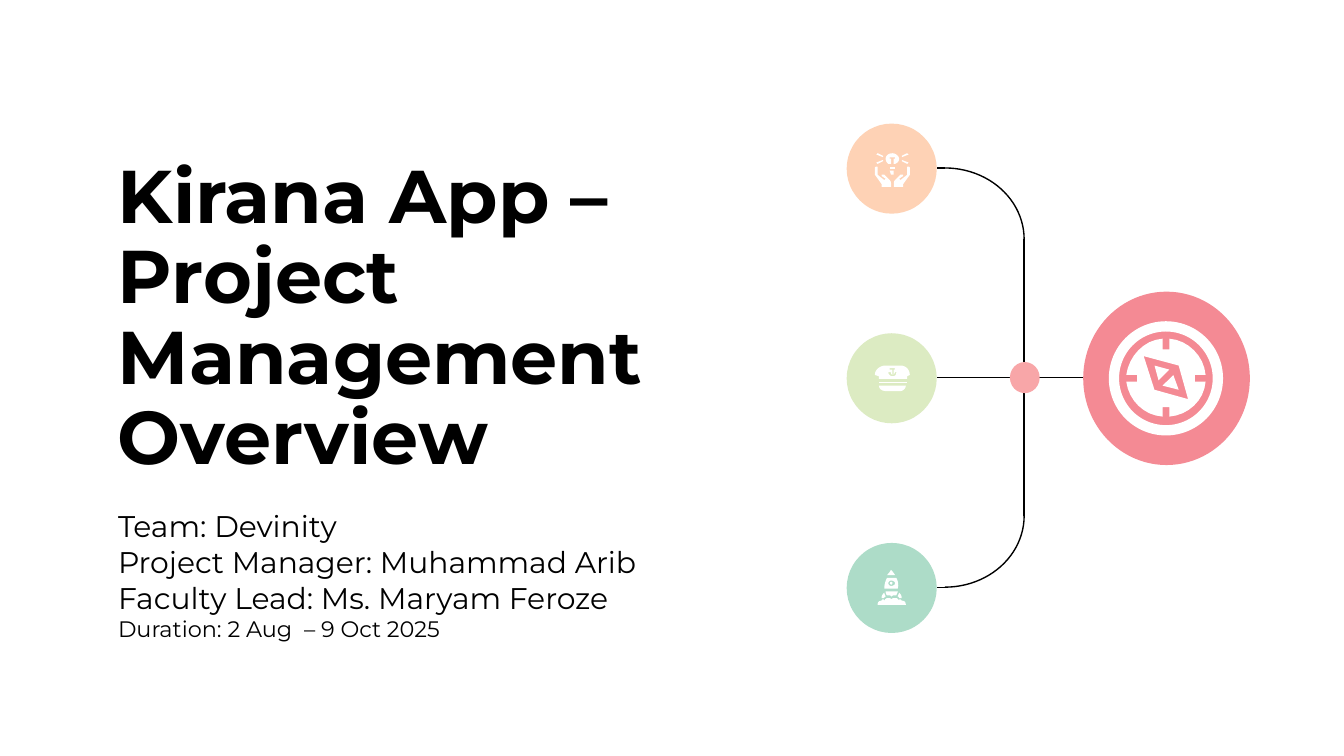
from dataclasses import dataclass

from lxml.etree import SubElement
from pptx import Presentation
from pptx.dml.color import RGBColor
from pptx.enum.shapes import MSO_CONNECTOR as Connector, MSO_SHAPE as Preset
from pptx.enum.text import MSO_ANCHOR as Anchor
from pptx.oxml.ns import qn
from pptx.util import Emu, Pt

PX = 9144  # EMU per px, 100 px to the inch
SLIDE_WIDTH = 1000
CURVE_STEPS = 8


@dataclass(frozen=True)
class Theme:
    font: str = "Montserrat"
    ink: str = "000000"
    white: str = "FFFFFF"
    peach: str = "FED2B5"
    lime: str = "DCEBC2"
    mint: str = "ADDCC8"
    coral: str = "F48A94"
    joint: str = "F8A6A8"
    title: int = 40
    body: int = 16
    small: int = 12
    line: float = 0.75
    joint_line: float = 2.25


THEME = Theme()


@dataclass(frozen=True)
class Box:
    left: int
    top: int
    width: int
    height: int

    def emu(self) -> tuple:
        return tuple(px(v) for v in (self.left, self.top, self.width, self.height))


@dataclass(frozen=True)
class TextLine:
    text: str
    size: int
    bold: bool = False
    spacing: float = 1.0
    continues: bool = False  # stays in the paragraph of the line above


@dataclass(frozen=True)
class Disc:
    box: Box
    color: str
    outlines: tuple
    mirrored: tuple = ()  # outlines drawn on both sides of the axis
    axis: float = 0


def px(value: float) -> Emu:
    return Emu(round(value * PX))


def rgb(value: str) -> RGBColor:
    return RGBColor.from_string(value)


def add_text(slide, box: Box, lines: list, anchor) -> None:
    frame = slide.shapes.add_textbox(*box.emu()).text_frame
    margins = dict.fromkeys(
        ("margin_left", "margin_top", "margin_right", "margin_bottom"), px(10))
    for name, value in {"word_wrap": True, "vertical_anchor": anchor, **margins}.items():
        setattr(frame, name, value)
    paragraph = frame.paragraphs[0]
    for index, line in enumerate(lines):
        if line.continues:
            paragraph.add_line_break()
        elif index:
            paragraph = frame.add_paragraph()
        paragraph.line_spacing = line.spacing
        run = paragraph.add_run()
        run.text = line.text
        font_format = {"name": THEME.font, "size": Pt(line.size), "bold": line.bold}
        for name, value in font_format.items():
            setattr(run.font, name, value)
        run.font.color.rgb = rgb(THEME.ink)


def paint(shape, color: str) -> None:
    shape.shadow.inherit = False
    shape.fill.solid()
    shape.fill.fore_color.rgb = rgb(color)
    shape.line.fill.background()


def set_line(shape, color: str, width: float) -> None:
    shape.line.color.rgb = rgb(color)
    shape.line.width = Pt(width)


def add_ellipse(slide, box: Box, color: str):
    shape = slide.shapes.add_shape(Preset.OVAL, *box.emu())
    paint(shape, color)
    return shape


def add_arc(slide, box: Box, flipped: bool) -> None:
    shape = slide.shapes.add_shape(Preset.ARC, *box.emu())
    shape.shadow.inherit = False
    shape.fill.background()
    set_line(shape, THEME.ink, THEME.line)
    if flipped:
        shape._element.spPr.xfrm.set("flipV", "1")


def add_line(slide, x1: int, y1: int, x2: int, y2: int) -> None:
    line = slide.shapes.add_connector(
        Connector.STRAIGHT, px(x1), px(y1), px(x2), px(y2))
    set_line(line, THEME.ink, THEME.line)
    SubElement(line._element.spPr, qn("a:effectLst"))


def contours(outline: str) -> list:
    """Turn M, L and C commands into point lists, with curves as short segments."""
    result = []
    for part in outline.split("M")[1:]:
        points = []
        for command in ("L" + part).replace("L", "|L").replace("C", "|C").split("|")[1:]:
            numbers = [int(n) for n in command[1:].split()]
            pairs = list(zip(numbers[::2], numbers[1::2]))
            if command[0] == "L":
                points += pairs
                continue
            for i in range(0, len(pairs), 3):
                corners = [points[-1], *pairs[i:i + 3]]
                for step in range(1, CURVE_STEPS + 1):
                    t = step / CURVE_STEPS
                    weights = ((1 - t) ** 3, 3 * t * (1 - t) ** 2, 3 * t * t * (1 - t), t ** 3)
                    points.append(tuple(
                        sum(w * c[k] for w, c in zip(weights, corners)) for k in (0, 1)))
        result.append(points)
    return result


def add_outline(slide, outline: str, axis: float = 0) -> None:
    builder = None
    for points in contours(outline):
        if axis:
            points = [(2 * axis - x, y) for x, y in points]
        start, *others = [(px(x), px(y)) for x, y in points]
        if builder is None:
            builder = slide.shapes.build_freeform(*start, scale=1.0)
        else:
            builder.move_to(*start)
        builder.add_line_segments(others, close=True)
    paint(builder.convert_to_shape(), THEME.white)


def add_disc(slide, disc: Disc) -> None:
    add_ellipse(slide, disc.box, disc.color)
    for outline in disc.outlines + disc.mirrored:
        add_outline(slide, outline)
    for outline in disc.mirrored:
        add_outline(slide, outline, disc.axis)


IDEA = Disc(Box(630, 92, 67, 67), THEME.peach, (
    "M662 124 L662 126 666 126 666 124",
    "M662 127 L663 130 665 130 665 127",
    "M664 114 C661 114 659 116 659 118 659 120 660 121 661 122 L663 122 663 118 662 118 "
    "662 117 666 117 666 118 665 118 665 122 666 122 C668 121 669 120 669 118 669 116 666 114 664 114",
), (
    "M675 114 L671 116 671 117 676 115",
    "M671 119 L671 120 675 122 676 121",
    "M652 124 C652 124 651 124 651 125 L651 130 656 137 656 139 663 139 663 137 "
    "C663 136 663 135 662 134 L658 130 C658 130 657 130 657 130 657 130 657 130 656 130 "
    "656 130 656 131 656 131 L659 133 658 134 653 130 653 125 C653 124 653 124 652 124",
), 664)
CAPTAIN = Disc(Box(630, 248, 67, 67), THEME.lime, (
    "M654 284 L654 285 675 285 675 284",
    "M654 287 C654 289 656 291 659 291 L670 291 C672 291 674 289 674 287",
    "M666 274 L666 275 665 275 665 279 C665 278 666 278 666 277 L667 277 "
    "C667 279 666 280 664 280 663 280 661 279 661 277 L663 277 C663 278 663 278 664 279 "
    "L664 275 662 275 662 274 M659 272 C655 272 651 275 651 279 L654 280 654 282 675 282 "
    "675 280 677 279 C677 275 674 272 670 272",
))
LAUNCH = Disc(Box(630, 404, 67, 67), THEME.mint, (
    "M663 433 C663 433 662 433 662 434 662 434 663 435 663 435 664 435 664 434 664 434 664 433 664 433 663 433",
    "M663 432 C665 432 666 433 666 434 666 435 665 436 663 436 662 436 661 435 661 434 "
    "661 433 662 432 663 432 M660 430 C659 432 658 435 658 438 L668 438 C669 435 668 432 667 430",
    "M663 424 C663 424 662 426 660 428 L666 428 C665 426 663 424 663 424",
    "M661 445 C660 445 659 445 658 447 658 446 657 446 657 446 656 446 656 447 656 447 "
    "654 447 653 448 653 450 L674 450 C674 448 673 447 671 447 671 447 670 446 670 446 "
    "669 446 669 446 669 447 668 445 667 445 666 445 665 445 664 445 663 446 663 445 662 445 661 445",
    "M659 440 C659 441 659 442 660 443 660 443 661 443 661 443 662 443 663 443 663 444 "
    "664 443 665 443 666 443 666 443 666 443 667 443 667 442 668 441 668 440",
), (
    "M669 441 C669 442 668 443 668 444 669 444 669 445 669 445 L671 445 C671 443 670 442 669 441",
), 663.5)
COMPASS = Disc(Box(806, 217, 124, 129), THEME.coral, (
    "M873 279 L865 287 877 290",
    "M859 272 L862 283 870 275",
    "M851 265 L877 272 884 297 859 290 M865 252 C851 253 840 265 838 279 L846 279 846 284 "
    "838 284 C840 298 851 309 865 310 L865 303 870 303 870 310 C884 309 896 298 897 284 "
    "L889 284 889 279 897 279 C896 265 884 253 870 252 L870 260 865 260",
))


def main() -> None:
    presentation = Presentation()
    presentation.slide_width = px(SLIDE_WIDTH)
    presentation.slide_height = px(SLIDE_WIDTH * 9 / 16)
    slide = presentation.slides.add_slide(presentation.slide_layouts[6])

    # Title and project details
    add_text(slide, Box(78, 110, 486, 258), [
        TextLine("Kirana App – Project Management Overview", THEME.title, True, 0.9)], Anchor.BOTTOM)
    add_text(slide, Box(78, 368, 491, 120), [
        TextLine("Team: Devinity", THEME.body),
        TextLine("Project Manager: Muhammad Arib", THEME.body),
        TextLine("Faculty Lead: Ms. Maryam Feroze", THEME.body),
        TextLine("Duration: 2 Aug  – 9 Oct 2025", THEME.small, continues=True)], Anchor.TOP)

    # Discs with icons
    for disc in (IDEA, LAUNCH, CAPTAIN, COMPASS):
        add_disc(slide, disc)
    ring = slide.shapes.add_shape(Preset.DONUT, *Box(825, 239, 85, 85).emu())
    ring.adjustments[0] = 0.09
    paint(ring, THEME.white)

    # Branches that meet at the joint
    for top, end, flipped in ((125, 125, False), (331, 437, True)):
        add_arc(slide, Box(644, top, 118, 106), flipped)
        add_line(slide, 703, end, 697, end)
    add_line(slide, 806, 281, 697, 281)
    add_line(slide, 762, 384, 762, 178)
    joint = add_ellipse(slide, Box(753, 271, 19, 20), THEME.joint)
    set_line(joint, THEME.joint, THEME.joint_line)

    presentation.save("out.pptx")


if __name__ == "__main__":
    main()
